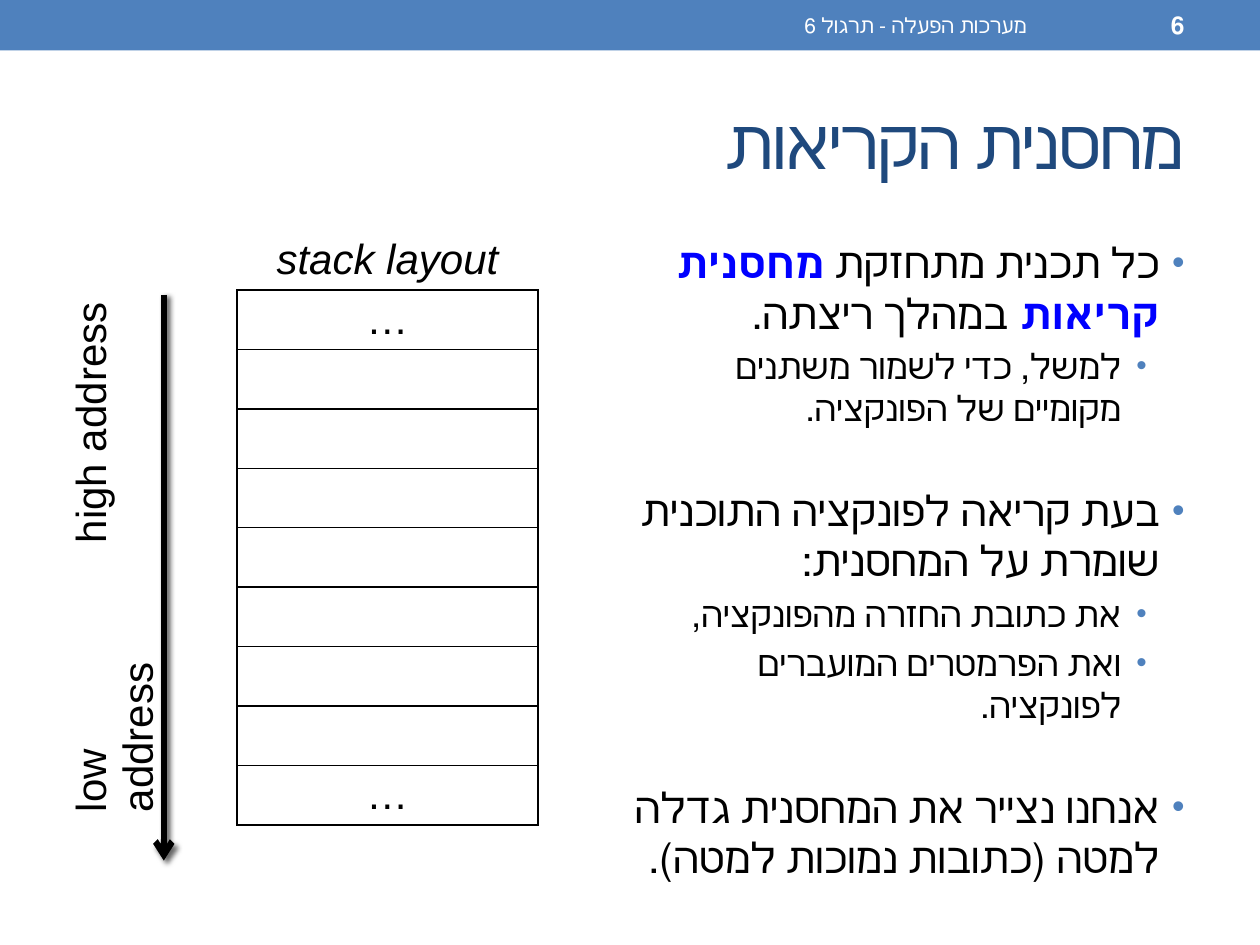
from lxml import etree
from pptx import Presentation
from pptx import util as u
from pptx.dml.color import RGBColor
from pptx.enum import shapes, text
from pptx.oxml import ns

BLUE = RGBColor(0x4F, 0x81, 0xBD)
NAVY = RGBColor(0x1F, 0x49, 0x7D)
KEYWORD = RGBColor(0x00, 0x00, 0xFF)
BLACK = RGBColor(0x00, 0x00, 0x00)
WHITE = RGBColor(0xFF, 0xFF, 0xFF)

RIGHT, CENTER, LEFT = text.PP_ALIGN.RIGHT, text.PP_ALIGN.CENTER, text.PP_ALIGN.LEFT


def sub(parent, tag, **attributes):
    return etree.SubElement(parent, ns.qn(tag), attributes)


class SlideWriter:
    """Holds the style and the current slide."""

    font = "Arial"
    bullet_size = "85000"
    side_tags = {"l": "a:lnL", "r": "a:lnR", "t": "a:lnT", "b": "a:lnB"}

    def __init__(self, slide):
        self.slide = slide

    def run(self, paragraph, words, size, color=BLACK, **formats):
        run = paragraph.add_run()
        run.text = words
        values = {"name": self.font, "size": u.Pt(size), **formats}
        for key, value in values.items():
            setattr(run.font, key, value)
        run.font.color.rgb = color
        return run

    def bar(self, left, top, width, height, color):
        bar = self.slide.shapes.add_shape(
            shapes.MSO_SHAPE.RECTANGLE, *map(u.Inches, (left, top, width, height)))
        bar.shadow.inherit = False
        bar.fill.solid()
        bar.fill.fore_color.rgb = color
        bar.line.fill.background()

    def frame(self, left, top, width, height, anchor):
        box = self.slide.shapes.add_textbox(
            *map(u.Inches, (left, top, width, height)))
        formats = {"word_wrap": True, "vertical_anchor": anchor,
                   "auto_size": text.MSO_AUTO_SIZE.NONE}
        for key, value in formats.items():
            setattr(box.text_frame, key, value)
        return box.text_frame

    def rtl(self, paragraph):
        paragraph.alignment = RIGHT
        properties = paragraph._p.get_or_add_pPr()
        properties.set("rtl", "1")
        return properties

    def label(self, place, words, size, color, spacing=None, **formats):
        paragraph = self.frame(*place, text.MSO_ANCHOR.MIDDLE).paragraphs[0]
        self.rtl(paragraph)
        run = self.run(paragraph, words, size, color, **formats)
        if spacing:
            run.font._element.set("spc", str(spacing))

    def bullets(self, place, items):
        frame = self.frame(*place, text.MSO_ANCHOR.TOP)
        for index, (level, space_before, runs) in enumerate(items):
            paragraph = frame.add_paragraph() if index else frame.paragraphs[0]
            paragraph.level = level
            paragraph.space_before = u.Pt(space_before)
            properties = self.rtl(paragraph)
            properties.set("marL", str(u.Inches((0.2, 0.5)[level])))
            properties.set("indent", str(u.Inches(-0.2)))
            sub(sub(properties, "a:buClr"), "a:srgbClr", val=str(BLUE))
            sub(properties, "a:buSzPct", val=self.bullet_size)
            sub(properties, "a:buFont", typeface=self.font)
            sub(properties, "a:buChar", char="•")
            for words, formats in runs:
                self.run(paragraph, words, (24, 20)[level], **formats)

    def borders(self, cell, sides):
        properties = cell._tc.get_or_add_tcPr()
        for side, tag in self.side_tags.items():
            line = sub(properties, tag, w=str(u.Pt(1)))
            if side in sides:
                sub(sub(line, "a:solidFill"), "a:srgbClr", val=str(BLACK))
            else:
                sub(line, "a:noFill")

    def table(self, place, columns, rows, sides_of):
        table = self.slide.shapes.add_table(
            rows, len(columns), *map(u.Inches, place)).table
        table.first_row = table.horz_banding = False
        for column, width in zip(table.columns, columns):
            column.width = u.Inches(width)
        for row in range(rows):
            for column in range(len(columns)):
                cell = table.cell(row, column)
                cell.margin_top = cell.margin_bottom = u.Inches(0.04)
                self.borders(cell, sides_of(row, column))
                cell.fill.background()
        return table

    def cell_text(self, cell, words, alignment, vertical=False, **formats):
        cell.vertical_anchor = text.MSO_ANCHOR.MIDDLE
        if vertical:
            cell._tc.get_or_add_tcPr().set("vert", "vert270")
        paragraph = cell.text_frame.paragraphs[0]
        paragraph.alignment = alignment
        self.run(paragraph, words, 24, **formats)

    def arrow(self, start, end, width):
        arrow = self.slide.shapes.add_connector(
            shapes.MSO_CONNECTOR.STRAIGHT, *map(u.Inches, start + end))
        arrow.line.color.rgb = BLACK
        arrow.line.width = u.Pt(width)
        sub(arrow.line._get_or_add_ln(), "a:tailEnd", type="arrow")
        shadow = sub(sub(arrow._element.spPr, "a:effectLst"), "a:outerShdw",
                     blurRad=str(u.Pt(3)), dist=str(u.Pt(2)), dir="2700000")
        sub(sub(shadow, "a:srgbClr", val=str(BLACK)), "a:alpha", val="60000")


def stack_sides(row, column):
    if column == 0:
        return "r" if row else ""
    return "lrtb" if row else "b"


def main():
    deck = Presentation()
    deck.slide_width, deck.slide_height = u.Inches(10), u.Inches(7.5)
    writer = SlideWriter(deck.slides.add_slide(deck.slide_layouts[6]))

    # Header bar and title
    writer.bar(0, 0, 10, 0.4, BLUE)
    writer.label((3.75, 0.02, 4.5, 0.36), "מערכות הפעלה - תרגול 6", 12, WHITE)
    writer.label((8.33, 0.02, 1.17, 0.36), "6", 14, WHITE, bold=True)
    writer.label((0.5, 0.58, 9, 1.08), "מחסנית הקריאות", 40, NAVY, spacing=-100)

    # Explanation: level, space before, runs
    writer.bullets((4.86, 1.83, 4.64, 5.16), [
        (0, 5, [("כל תכנית מתחזקת ", {}),
                ("מחסנית קריאות ", {"color": KEYWORD, "bold": True}),
                ("במהלך ריצתה.", {})]),
        (1, 4, [("למשל, כדי לשמור משתנים מקומיים של הפונקציה.", {})]),
        (0, 32, [("בעת קריאה לפונקציה התוכנית שומרת על המחסנית:", {})]),
        (1, 4, [("את כתובת החזרה מהפונקציה,", {})]),
        (1, 4, [("ואת הפרמטרים המועברים לפונקציה.", {})]),
        (0, 32, [("אנחנו נצייר את המחסנית גדלה למטה (כתובות נמוכות למטה).", {})]),
    ])

    # Stack with its address column
    stack = writer.table((0.5, 1.83, 3.77, 4.72), (1.38, 2.39), 10, stack_sides)
    for first, last, words, alignment in ((1, 5, "high address", RIGHT),
                                          (6, 9, "low address", LEFT)):
        stack.cell(first, 0).merge(stack.cell(last, 0))
        writer.cell_text(stack.cell(first, 0), words, alignment, vertical=True)
    writer.cell_text(stack.cell(0, 1), "stack layout", CENTER, italic=True)
    for row in (1, 9):
        writer.cell_text(stack.cell(row, 1), "…", CENTER)

    # Direction of addresses
    writer.arrow((1.3, 2.34), (1.3, 6.83), 3.5)

    deck.save("out.pptx")


if __name__ == "__main__":
    main()
